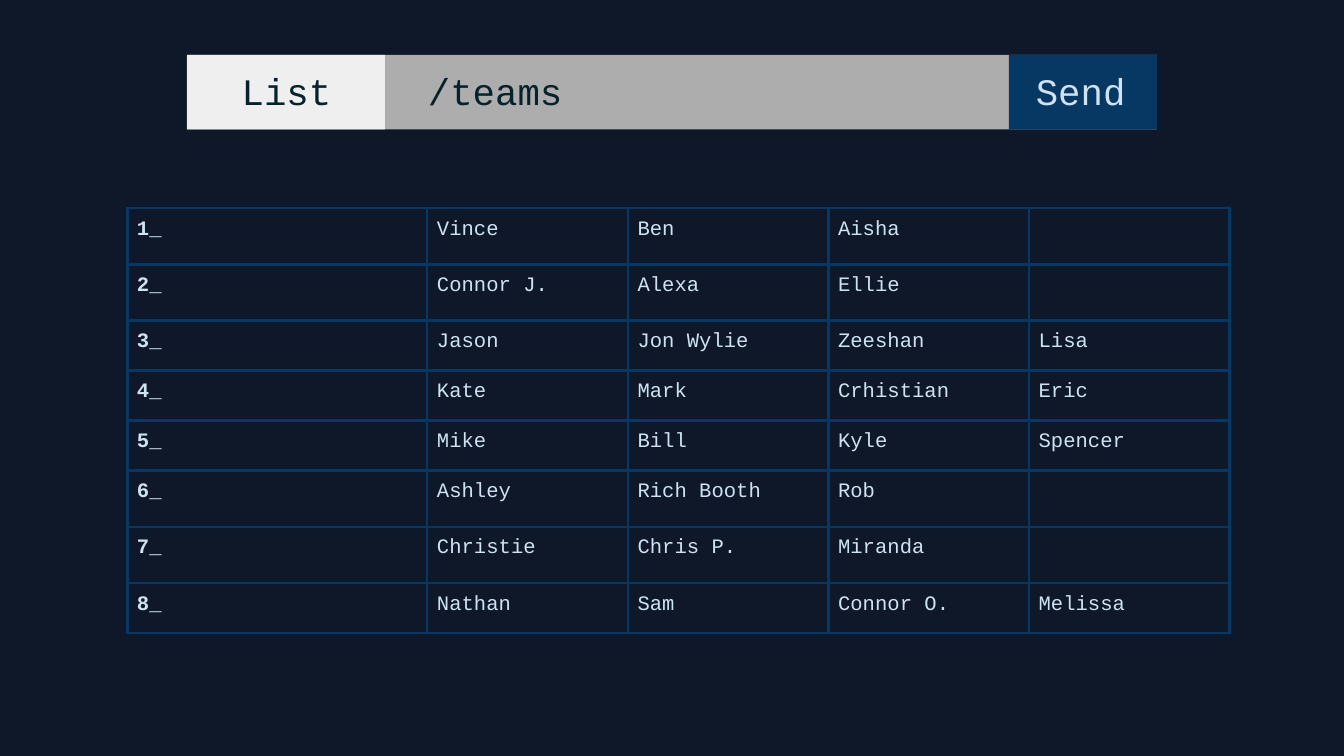
from lxml import etree
from pptx import Presentation
from pptx.dml.color import RGBColor
from pptx.enum import shapes, text
from pptx.oxml import ns
from pptx.util import Pt

FONT = "Courier New"
NIGHT, NAVY, PALE, INK = "0E1828", "073763", "CFE2F3", "05222D"
LEFT, CENTER = text.PP_ALIGN.LEFT, text.PP_ALIGN.CENTER

# left, width, fill
BARS = [(100.2, 519.6, "ADADAD"), (100.2, 106, "EFEFEF"), (540.5, 79.3, NAVY)]
BAR_TOP, BAR_HIGH = 29.4, 39.9

# text, left, width, colour, alignment
LABELS = [
    ("/teams", 222, 232, INK, LEFT),
    ("List", 110, 87, INK, CENTER),
    ("Send", 547.7, 69, PALE, LEFT),
]

TEAMS = [
    ("Vince", "Ben", "Aisha"),
    ("Connor J.", "Alexa", "Ellie"),
    ("Jason", "Jon Wylie", "Zeeshan", "Lisa"),
    ("Kate", "Mark", "Crhistian", "Eric"),
    ("Mike", "Bill", "Kyle", "Spencer"),
    ("Ashley", "Rich Booth", "Rob"),
    ("Christie", "Chris P.", "Miranda"),
    ("Nathan", "Sam", "Connor O.", "Melissa"),
]
COLS = [160.7] + [107.45] * 4
ROWS = [26.8 if len(team) == 4 else 30.15 for team in TEAMS]


def color(code):
    return RGBColor.from_string(code)


def style(par, size, code, bold=False):
    for run in par.runs:
        font = run.font
        font.name, font.size, font.bold = FONT, Pt(size), bold
        font.color.rgb = color(code)


def inset(frame, gap):
    frame.margin_left = frame.margin_right = Pt(gap)
    frame.margin_top = frame.margin_bottom = Pt(gap)


def add_bar(left, wide, code):
    bar = slide.shapes.add_shape(shapes.MSO_SHAPE.RECTANGLE, Pt(left),
                                 Pt(BAR_TOP), Pt(wide), Pt(BAR_HIGH))
    bar.shadow.inherit = False
    bar.fill.solid()
    bar.fill.fore_color.rgb = color(code)
    bar.line.fill.background()
    return bar


def set_label(box, words, left, wide, code, align):
    box.left, box.top = Pt(left), Pt(BAR_TOP)
    box.width, box.height = Pt(wide), Pt(35.3)
    frame = box.text_frame
    frame.text = words
    frame.word_wrap = True
    frame.auto_size = text.MSO_AUTO_SIZE.NONE
    frame.vertical_anchor = text.MSO_ANCHOR.TOP
    inset(frame, 7.2)
    par = frame.paragraphs[0]
    par.alignment, par.space_before = align, Pt(0)
    style(par, 20, code)
    props = par._p.get_or_add_pPr()
    props.set("marL", "0")
    props.set("indent", "0")
    etree.SubElement(props, ns.qn("a:buNone"))


def add_edges(cell):
    props = cell._tc.get_or_add_tcPr()
    for side in ("lnL", "lnR", "lnT", "lnB"):
        line = etree.SubElement(props, ns.qn("a:" + side), w=str(Pt(1.5)))
        fill = etree.SubElement(line, ns.qn("a:solidFill"))
        etree.SubElement(fill, ns.qn("a:srgbClr"), val=NAVY)


def set_cell(cell, words, bold):
    inset(cell, 5.2)
    add_edges(cell)
    cell.fill.background()
    par = cell.text_frame.paragraphs[0]
    if words:
        par.text = words
        style(par, 11, PALE, bold)
    else:
        # keeps the blank line as low as a filled one
        etree.SubElement(par._p, ns.qn("a:endParaRPr"), sz="1100")


deck = Presentation()
deck.slide_width, deck.slide_height = Pt(720), Pt(405)
slide = deck.slides.add_slide(deck.slide_layouts[3])
slide.background.fill.solid()
slide.background.fill.fore_color.rgb = color(NIGHT)

boxes = list(slide.placeholders)
bars = [add_bar(*bar) for bar in BARS]
for box, label in zip(boxes, LABELS):
    set_label(box, *label)
    bars[-1].element.getparent().append(box.element)  # bring to front

grid = slide.shapes.add_table(len(ROWS), len(COLS), Pt(68.2), Pt(111.5),
                              Pt(sum(COLS)), Pt(sum(ROWS))).table
grid.first_row = grid.horz_banding = False
for col, wide in zip(grid.columns, COLS):
    col.width = Pt(wide)
for i, (row, high, team) in enumerate(zip(grid.rows, ROWS, TEAMS), 1):
    row.height = Pt(high)
    names = [f"{i}_", *team, ""]
    for j, (cell, name) in enumerate(zip(row.cells, names)):
        set_cell(cell, name, bold=j == 0)

deck.save("out.pptx")
